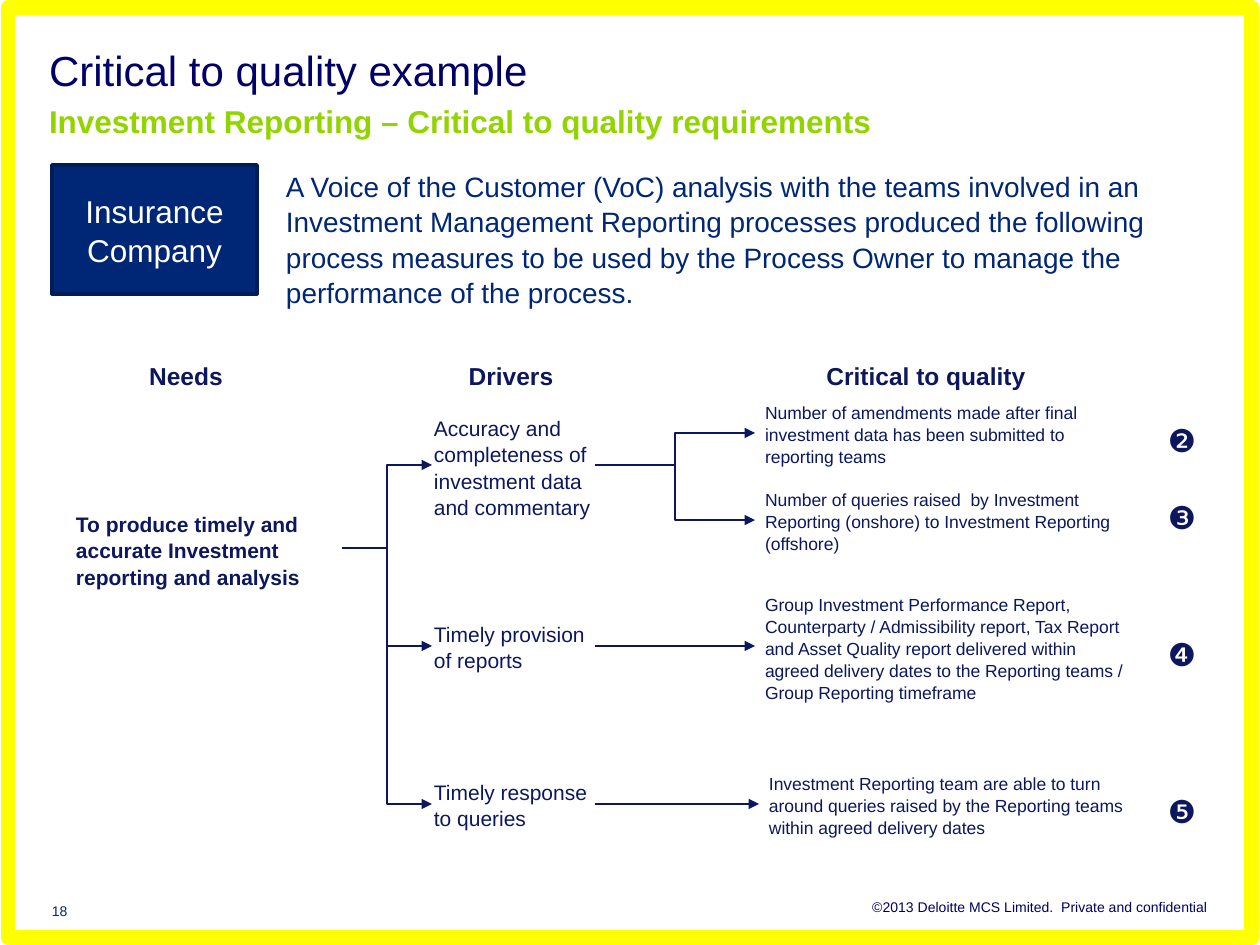
from dataclasses import dataclass

from lxml import etree
from pptx import Presentation
from pptx import util as u
from pptx.dml.color import RGBColor
from pptx.enum import shapes, text
from pptx.oxml.ns import qn

SCALE = u.Inches(1) / 126


@dataclass(frozen=True)
class Theme:
    """Colours, type sizes and spacing of the slide."""
    face: str = "Arial"
    navy: str = "000066"
    blue: str = "002776"
    edge: str = "001D57"
    ink: str = "0C175E"
    lime: str = "92D400"
    white: str = "FFFFFF"
    yellow: str = "FFFF00"
    title: int = 24
    lead: int = 18
    body: int = 16
    head: int = 14
    node: int = 12
    note: int = 10
    foot: int = 8
    lines: float = 1.05


T = Theme()
LEFT, MID, RIGHT = text.PP_ALIGN.LEFT, text.PP_ALIGN.CENTER, text.PP_ALIGN.RIGHT
TOP, CORE = text.MSO_ANCHOR.TOP, text.MSO_ANCHOR.MIDDLE
WIDE = (13, 6, 13, 6)
SLIM = (2, 1, 2, 1)
INSET = (10, 1, 2, 1)
NONE = (0, 0, 0, 0)


def px(n):
    """Turn pixels into EMU."""
    return u.Emu(round(n * SCALE))


def apply(item, values):
    """Set each named value on an object."""
    for name, value in values.items():
        setattr(item, name, value)


def place(shape, box):
    """Move a shape to a pixel box."""
    apply(shape, dict(zip(("left", "top", "width", "height"), map(px, box))))


def style(run, size, color, bold=False):
    """Format one run."""
    apply(run.font, {"name": T.face, "size": u.Pt(size), "bold": bold})
    run.font.color.rgb = RGBColor.from_string(color)


def setup(frame, inset, anchor=TOP):
    """Set insets, wrapping and anchor of a text frame."""
    sides = ("margin_left", "margin_top", "margin_right", "margin_bottom")
    apply(frame, dict(zip(sides, map(px, inset))))
    apply(frame, {"word_wrap": True, "vertical_anchor": anchor,
                  "auto_size": text.MSO_AUTO_SIZE.NONE})


def write(shape, words, size, color, bold=False, align=LEFT, inset=NONE, anchor=TOP):
    """Fill a shape with one formatted paragraph."""
    setup(shape.text_frame, inset, anchor)
    para = shape.text_frame.paragraphs[0]
    apply(para, {"alignment": align, "line_spacing": T.lines, "space_before": u.Pt(0)})
    run = para.add_run()
    run.text = words
    style(run, size, color, bold)


def label(slide, box, words, size, color, **form):
    """Add a text box."""
    shape = slide.shapes.add_textbox(*map(px, box))
    write(shape, words, size, color, **form)
    return shape


def block(slide, box, line, width, fill=None):
    """Add a plain rectangle."""
    shape = slide.shapes.add_shape(shapes.MSO_SHAPE.RECTANGLE, *map(px, box))
    shape.shadow.inherit = False
    if fill:
        shape.fill.solid()
        shape.fill.fore_color.rgb = RGBColor.from_string(fill)
    else:
        shape.fill.background()
    shape.line.color.rgb = RGBColor.from_string(line)
    shape.line.width = u.Pt(width)
    return shape


def link(slide, start, end):
    """Join the right side of one box to the left side of another."""
    level = abs(start.top + start.height / 2 - end.top - end.height / 2) < px(1)
    kind = shapes.MSO_CONNECTOR.STRAIGHT if level else shapes.MSO_CONNECTOR.ELBOW
    wire = slide.shapes.add_connector(kind, 0, 0, 0, 0)
    wire.begin_connect(start, 3)
    wire.end_connect(end, 1)
    wire.line.color.rgb = RGBColor.from_string(T.ink)
    wire.line.width = u.Pt(0.75)
    etree.SubElement(wire.line._get_or_add_ln(), qn("a:tailEnd"), type="triangle")
    etree.SubElement(wire._element.spPr, qn("a:effectLst"))


def banner(slide, box):
    """Fill the title with its heading and subheading."""
    shape = slide.shapes.title
    place(shape, box)
    setup(shape.text_frame, NONE)
    para = shape.text_frame.paragraphs[0]
    apply(para, {"alignment": LEFT, "line_spacing": u.Pt(26)})
    rows = (("Critical to quality example", T.title, T.navy, False),
            ("Investment Reporting – Critical to quality requirements", T.lead, T.lime, True))
    for i, (words, *form) in enumerate(rows):
        if i:
            para.add_line_break()
        run = para.add_run()
        run.text = words
        style(run, *form)


def intro(slide, box):
    """Place the client block beside the opening text."""
    x, y, w, h = box
    card = block(slide, (x, y, 205, h), T.edge, 2, T.blue)
    write(card, "Insurance Company", T.lead, T.white, align=MID, inset=WIDE, anchor=CORE)
    body = slide.placeholders[1]
    place(body, (x + 234, y + 3, w - 234, h))
    props = body.text_frame.paragraphs[0]._p.get_or_add_pPr()
    apply_xml = {"marL": "0", "indent": "0"}
    for name, value in apply_xml.items():
        props.set(name, value)
    etree.SubElement(props, qn("a:buNone"))
    write(body, "A Voice of the Customer (VoC) analysis with the teams involved in an "
          "Investment Management Reporting processes produced the following process "
          "measures to be used by the Process Owner to manage the performance of the "
          "process.", T.body, T.blue)


def tree(slide, box):
    """Draw needs, drivers and measures as a linked tree."""
    x, y = box[:2]

    def node(left, mid, w, h, words, size, **form):
        """Add a text box centred on a row."""
        return label(slide, (x + left, y + mid - h // 2, w, h), words, size, T.ink, **form)

    for left, words in ((0, "Needs"), (325, "Drivers"), (740, "Critical to quality")):
        node(left, 21, 294, 42, words, T.head, bold=True, align=MID, inset=WIDE)
    need = node(35, 194, 268, 78, "To produce timely and accurate Investment reporting "
                "and analysis", T.node, bold=True, inset=SLIM)
    plan = (
        (111, 104, "Accuracy and completeness of investment data and commentary", (
            (716, 79, 66, 84, "❷", "Number of amendments made after final investment "
             "data has been submitted to reporting teams"),
            (716, 166, 66, 161, "❸", "Number of queries raised  by Investment Reporting "
             "(onshore) to Investment Reporting (offshore)"))),
        (292, 54, "Timely provision of reports", (
            (716, 292, 108, 298, "❹", "Group Investment Performance Report, Counterparty / "
             "Admissibility report, Tax Report and Asset Quality report delivered within "
             "agreed delivery dates to the Reporting teams / Group Reporting timeframe"),)),
        (450, 54, "Timely response to queries", (
            (720, 450, 66, 455, "❺", "Investment Reporting team are able to turn around "
             "queries raised by the Reporting teams within agreed delivery dates"),)),
    )
    for mid, h, words, goals in plan:
        driver = node(393, mid, 163, h, words, T.node, inset=SLIM)
        link(slide, need, driver)
        for left, row, tall, spot, mark, goal in goals:
            leaf = node(left, row, 1088 - left, tall, goal, T.note, inset=INSET)
            link(slide, driver, leaf)
            node(1116, spot, 50, 50, mark, T.lead, inset=WIDE)


def footer(slide, box):
    """Place the page number and the copyright line."""
    x, y, w, h = box
    label(slide, (x, y + 4, 49, h), "18", T.foot, T.blue)
    label(slide, (x + 376, y, w - 376, h),
          "©2013 Deloitte MCS Limited.  Private and confidential",
          T.foot, T.navy, align=RIGHT)


def main():
    """Build and save the slide."""
    deck = Presentation()
    apply(deck, {"slide_width": px(1260), "slide_height": px(945)})
    slide = deck.slides.add_slide(deck.slide_layouts[1])
    banner(slide, (49, 49, 1160, 87))
    intro(slide, (52, 165, 1184, 129))
    tree(slide, (39, 354, 1166, 480))
    footer(slide, (52, 898, 1156, 16))
    block(slide, (8, 8, 1244, 930), T.yellow, 8.5)
    deck.save("out.pptx")


if __name__ == "__main__":
    main()
